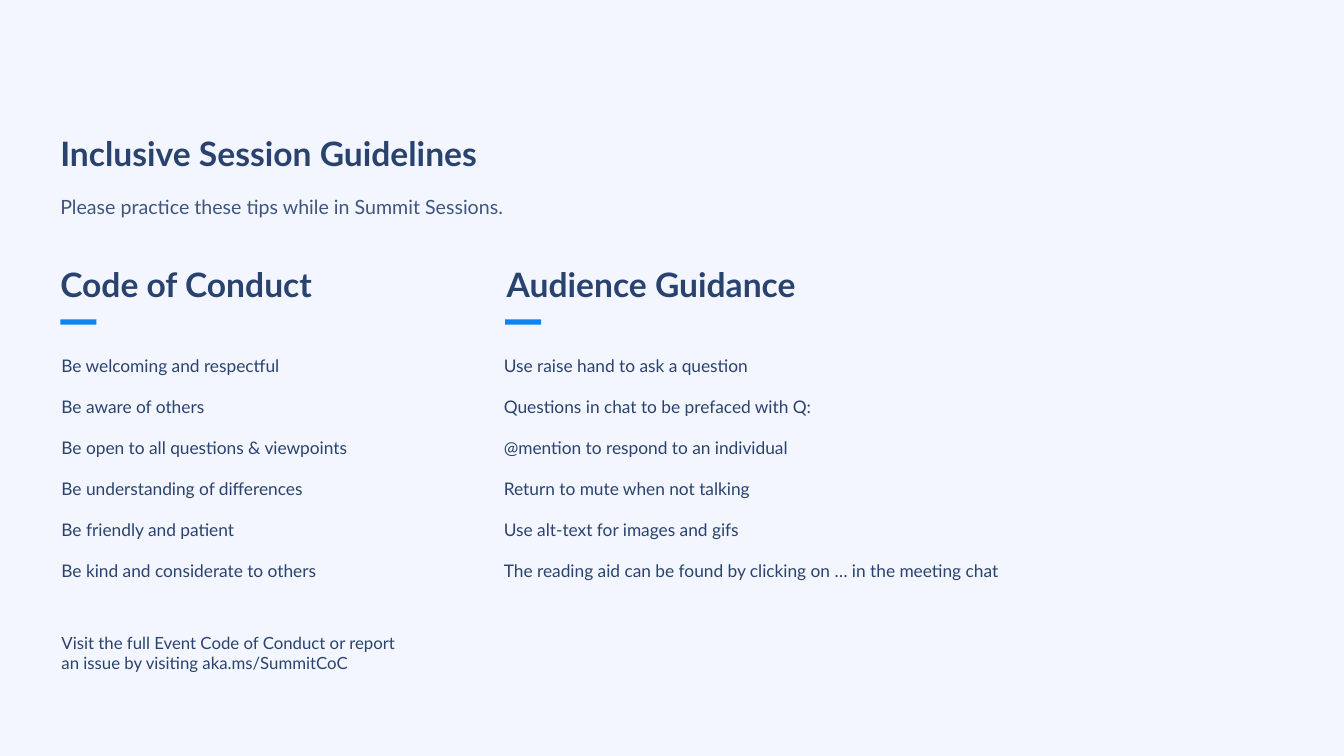
from pptx import Presentation
from pptx.dml.color import RGBColor
from pptx.enum.shapes import MSO_SHAPE
from pptx.enum.text import MSO_ANCHOR
from pptx.util import Cm, Pt

RECTANGLE = MSO_SHAPE.RECTANGLE
TOP = MSO_ANCHOR.TOP
MIDDLE = MSO_ANCHOR.MIDDLE

BACKGROUND = RGBColor(0xF3, 0xF6, 0xFF)
NAVY = RGBColor(0x2A, 0x43, 0x6E)
SOFT_NAVY = RGBColor(0x3E, 0x55, 0x7C)
ACCENT_BLUE = RGBColor(0x0D, 0x84, 0xF3)
FONT = "Lato"

CONDUCT_RULES = [
    "Be welcoming and respectful",
    "Be aware of others",
    "Be open to all questions & viewpoints",
    "Be understanding of differences",
    "Be friendly and patient",
    "Be kind and considerate to others",
]
AUDIENCE_TIPS = [
    "Use raise hand to ask a question",
    "Questions in chat to be prefaced with Q:",
    "@mention to respond to an individual",
    "Return to mute when not talking",
    "Use alt-text for images and gifs",
    "The reading aid can be found by clicking on … in the meeting chat",
]


def add_text(slide, lines, left, top, width, height, *, size, color=NAVY,
             bold=False, anchor=TOP, line_spacing=1.0, space_before=0):
    box = slide.shapes.add_textbox(Cm(left), Cm(top), Cm(width), Cm(height))
    frame = box.text_frame
    frame.word_wrap = True
    frame.vertical_anchor = anchor
    frame.text = "\n".join(lines)
    for index, paragraph in enumerate(frame.paragraphs):
        paragraph.line_spacing = line_spacing
        paragraph.space_before = Pt(space_before if index else 0)
        font = paragraph.font
        font.name = FONT
        font.size = Pt(size)
        font.bold = bold
        font.color.rgb = color


def add_heading(slide, text, left, top, width):
    add_text(slide, [text], left, top, width, 1.57, size=24, bold=True,
             anchor=MIDDLE, line_spacing=0.9)


def add_accent_bar(slide, left):
    bar = slide.shapes.add_shape(RECTANGLE, Cm(left), Cm(8.05), Cm(0.91), Cm(0.13))
    bar.shadow.inherit = False
    bar.fill.solid()
    bar.fill.fore_color.rgb = ACCENT_BLUE
    bar.line.fill.background()


def add_guideline_list(slide, guidelines, left, width):
    add_text(slide, guidelines, left, 8.66, width, 6.35, size=12.4,
             line_spacing=1.3, space_before=10)


def main():
    presentation = Presentation()
    presentation.slide_width = Cm(33.87)
    presentation.slide_height = Cm(19.05)
    slide = presentation.slides.add_slide(presentation.slide_layouts[6])
    slide.background.fill.solid()
    slide.background.fill.fore_color.rgb = BACKGROUND

    add_heading(slide, "Inclusive Session Guidelines", 1.27, 3.13, 31.32)
    add_text(slide, ["Please practice these tips while in Summit Sessions."],
             1.27, 4.74, 31.32, 1.02, size=14, color=SOFT_NAVY,
             anchor=MIDDLE, line_spacing=0.9)

    add_heading(slide, "Code of Conduct", 1.27, 6.43, 10.01)
    add_accent_bar(slide, 1.52)
    add_guideline_list(slide, CONDUCT_RULES, 1.3, 10.01)

    add_heading(slide, "Audience Guidance", 12.52, 6.43, 12.9)
    add_accent_bar(slide, 12.73)
    add_guideline_list(slide, AUDIENCE_TIPS, 12.45, 19.23)

    add_text(slide, ["Visit the full Event Code of Conduct or report an issue "
                     "by visiting aka.ms/SummitCoC"],
             1.3, 15.82, 9.09, 1.88, size=12)

    presentation.save("out.pptx")


if __name__ == "__main__":
    main()
